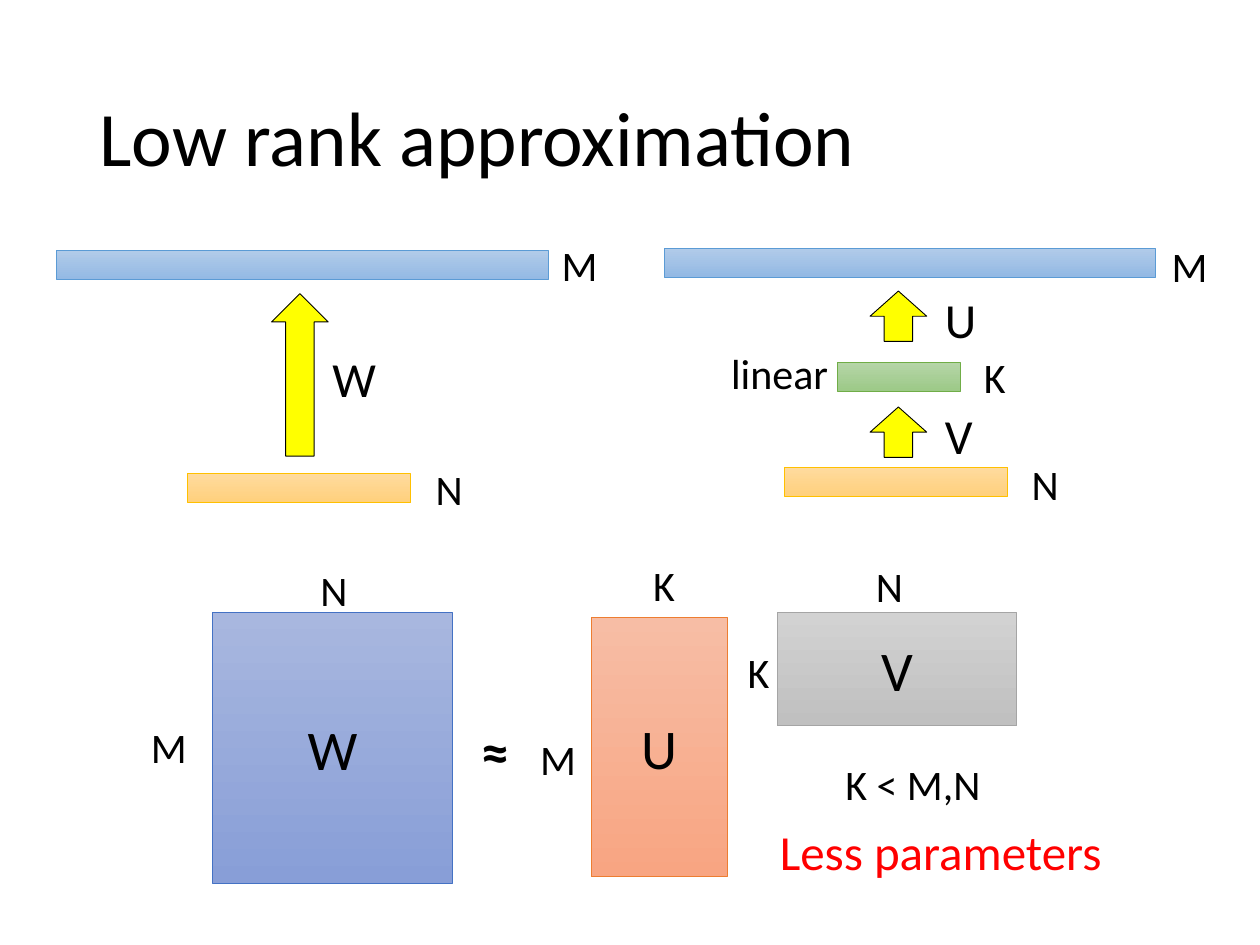
from pptx import Presentation
from pptx.dml.color import RGBColor
from pptx.enum.shapes import MSO_SHAPE
from pptx.enum.text import MSO_ANCHOR, PP_ALIGN
from pptx.util import Inches, Pt

RECT = MSO_SHAPE.RECTANGLE
ARROW = MSO_SHAPE.RIGHT_ARROW
TOP, MIDDLE = MSO_ANCHOR.TOP, MSO_ANCHOR.MIDDLE
LEFT, CENTER, RIGHT = PP_ALIGN.LEFT, PP_ALIGN.CENTER, PP_ALIGN.RIGHT

FONT = "Calibri"
COLORS = {"ink": "000000", "red": "FF0000", "yellow": "FFFF00"}
FILLS = {
    "sky": {"start": "B1CBE9", "end": "93B9E4", "line": "5B9BD5"},
    "gold": {"start": "FFDB9E", "end": "FFD07C", "line": "FFC000"},
    "green": {"start": "B5D5A7", "end": "9CC987", "line": "70AD47"},
    "blue": {"start": "A8B7DF", "end": "889ED7", "line": "4472C4"},
    "coral": {"start": "F7BDA5", "end": "F8A582", "line": "ED7D31"},
    "gray": {"start": "D2D2D2", "end": "C0C0C0", "line": "A5A5A5"},
}
BAR = 0.23
HEAD = 0.45


def rgb(code):
    return RGBColor.from_string(code)


def write(frame, text, size, align=LEFT, anchor=TOP, color="ink", bold=False):
    frame.word_wrap = True
    frame.vertical_anchor = anchor
    para = frame.paragraphs[0]
    para.alignment = align
    run = para.add_run()
    run.text = text
    font = run.font
    font.name, font.size, font.bold = FONT, Pt(size), bold
    font.color.rgb = rgb(COLORS[color])
    return para


def label(slide, text, x, y, w=0.7, h=0.5, size=24, **style):
    box = slide.shapes.add_textbox(Inches(x), Inches(y), Inches(w), Inches(h))
    return write(box.text_frame, text, size, **style)


def shape(slide, kind, x, y, w, h, line):
    item = slide.shapes.add_shape(kind, Inches(x), Inches(y), Inches(w), Inches(h))
    item.shadow.inherit = False
    item.line.color.rgb = rgb(line)
    item.line.width = Pt(0.5)
    return item


def block(slide, x, y, w, h, name, text=None):
    tone = FILLS[name]
    item = shape(slide, RECT, x, y, w, h, tone["line"])
    item.fill.gradient()
    item.fill.gradient_angle = 270
    for stop, end in zip(item.fill.gradient_stops, ("start", "end")):
        stop.color.rgb = rgb(tone[end])
    if text:
        write(item.text_frame, text, 32, CENTER, MIDDLE)


def arrow(slide, mid, top, length):
    x = mid - length / 2
    y = top + (length - HEAD) / 2
    item = shape(slide, ARROW, x, y, length, HEAD, COLORS["ink"])
    item.rotation = 270
    item.fill.solid()
    item.fill.fore_color.rgb = rgb(COLORS["yellow"])


def title(slide, x, y, w, h):
    para = label(slide, "Low rank approximation", x, y, w, h, 44, anchor=MIDDLE)
    para.line_spacing = 0.9


def full(slide, x, y, w):
    block(slide, x, y, w, BAR, "sky")
    block(slide, x + 1.04, y + 1.77, 1.77, BAR, "gold")
    arrow(slide, x + 1.93, y + 0.34, 1.29)
    label(slide, "W", x + 2.09, y + 0.73, 0.95, 0.57, 28)
    label(slide, "M", x + w + 0.01, y - 0.14, 0.64)
    label(slide, "N", x + 2.91, y + 1.64, 0.64)


def split(slide, x, y, w):
    block(slide, x, y, w, BAR, "sky")
    block(slide, x + 1.38, y + 0.91, 0.97, BAR, "green")
    block(slide, x + 0.96, y + 1.74, 1.77, BAR, "gold")
    for text, top in (("U", 0.34), ("V", 1.26)):
        arrow(slide, x + 1.86, y + top, 0.4)
        label(slide, text, x + 2.13, y + top - 0.06, 0.95, 0.57, 28)
    label(slide, "linear", x + 0.32, y + 0.74, 1.08, align=RIGHT)
    label(slide, "M", x + w + 0.03, y - 0.11, 0.64)
    label(slide, "K", x + 2.44, y + 0.77, 0.64)
    label(slide, "N", x + 2.82, y + 1.62, 0.64)


def product(slide, x, y):
    block(slide, x + 0.7, y + 0.47, 1.9, 2.15, "blue", "W")
    block(slide, x + 3.7, y + 0.51, 1.08, 2.06, "coral", "U")
    block(slide, x + 5.18, y + 0.47, 1.9, 0.9, "gray", "V")
    label(slide, "≈", x + 2.58, y + 1.25, 0.72, 0.64, 32, align=CENTER, bold=True)
    sides = (("M", 0, 1.29), ("M", 3.09, 1.38), ("N", 1.31, 0.04),
             ("N", 5.72, 0.01), ("K", 3.93, 0), ("K", 4.68, 0.69))
    for text, dx, dy in sides:
        label(slide, text, x + dx, y + dy, align=CENTER)
    label(slide, "K < M,N", x + 5.46, y + 1.58, 1.59, align=CENTER)
    label(slide, "Less parameters", x + 5.1, y + 2.08, 2.92, 0.57, 28, color="red")


def main():
    deck = Presentation()
    deck.slide_width, deck.slide_height = Inches(10), Inches(7.5)
    slide = deck.slides.add_slide(deck.slide_layouts[6])
    title(slide, 0.69, 0.4, 8.62, 1.45)
    full(slide, 0.45, 1.99, 3.9)
    split(slide, 5.27, 1.97, 3.9)
    product(slide, 0.99, 4.39)
    deck.save("out.pptx")


if __name__ == "__main__":
    main()
